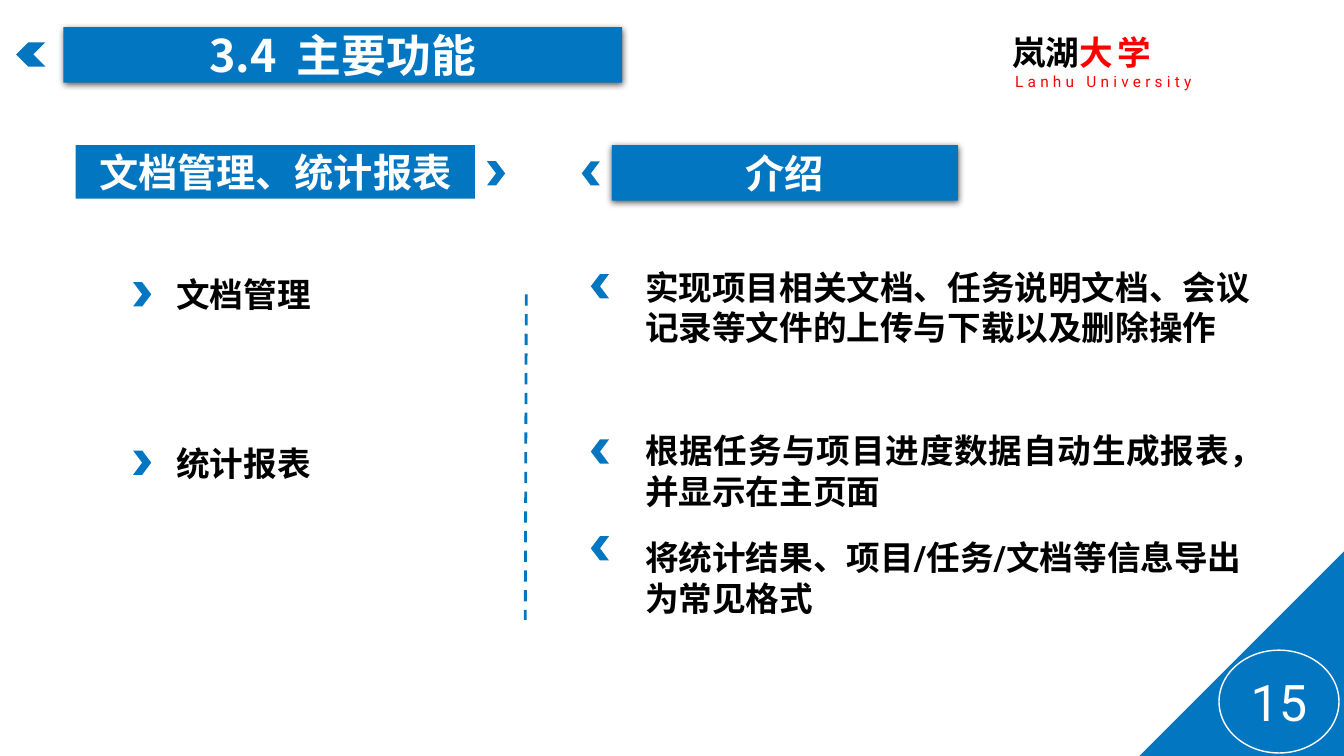
from lxml import etree
from pptx import Presentation
from pptx import util as u
from pptx.dml.color import RGBColor
from pptx.enum import dml, shapes, text
from pptx.oxml.ns import qn

COLORS = {"blue": "0376C2", "white": "FFFFFF", "black": "000000", "red": "FF0000"}
CJK = "Noto Sans CJK SC"
SHAPE = shapes.MSO_SHAPE
ALIGN = text.PP_ALIGN


def rgb(name):
    """Return the named colour."""
    return RGBColor.from_string(COLORS[name])


def add_run(p, words, size=24, font="Roboto", color="black", bold=True, spacing=0):
    """Append a formatted run to a paragraph."""
    r = p.add_run()
    r.text = words
    r.font.size, r.font.name, r.font.bold = u.Pt(size), font, bold
    r.font.color.rgb = rgb(color)
    rPr = r._r.get_or_add_rPr()
    etree.SubElement(rPr, qn("a:ea")).set("typeface", CJK)
    if spacing:
        rPr.set("spc", str(spacing * 100))


class Deck:
    """Hold the presentation, its style and the current slide."""

    def __init__(self):
        """Start a widescreen presentation with one blank slide."""
        self.prs = Presentation()
        self.prs.slide_width, self.prs.slide_height = u.Inches(13.33), u.Inches(7.5)
        self.s = self.prs.slides.add_slide(self.prs.slide_layouts[6])

    def shape(self, kind, x, y, w, h, rotation=0, line=None):
        """Add a blue preset shape."""
        sp = self.s.shapes.add_shape(kind, *map(u.Inches, (x, y, w, h)))
        sp.shadow.inherit = False
        sp.rotation = rotation
        sp.fill.solid()
        sp.fill.fore_color.rgb = rgb("blue")
        if line:
            sp.line.color.rgb = rgb(line)
            sp.line.width = u.Pt(1)
        else:
            sp.line.fill.background()
        return sp

    def label(self, sp, words, **fmt):
        """Write centred white text in a shape."""
        tf = sp.text_frame
        tf.margin_left = tf.margin_right = 0
        tf.vertical_anchor = text.MSO_ANCHOR.MIDDLE
        tf.paragraphs[0].alignment = ALIGN.CENTER
        add_run(tf.paragraphs[0], words, color="white", **fmt)

    def banner(self, words, x, y, w, h, size=28, shadow=True):
        """Add a heading bar."""
        sp = self.shape(SHAPE.RECTANGLE, x, y, w, h)
        self.label(sp, words, size=size, font=CJK)
        if shadow:
            effects = sp._element.spPr.find(qn("a:effectLst"))
            shdw = etree.SubElement(effects, qn("a:outerShdw"), blurRad=str(u.Pt(4.5)),
                                    dist=str(u.Pt(1.5)), dir="5400000", rotWithShape="0")
            clr = etree.SubElement(shdw, qn("a:srgbClr"), val=COLORS["black"])
            etree.SubElement(clr, qn("a:alpha"), val="63000")

    def chevron(self, x, y, w=0.18, left=False):
        """Add a small chevron pointing right or left."""
        self.shape(SHAPE.CHEVRON, x, y, w, 0.24, rotation=180 if left else 0)

    def textbox(self, x, y, w, h):
        """Add a wrapping text box and return its frame."""
        tf = self.s.shapes.add_textbox(*map(u.Inches, (x, y, w, h))).text_frame
        tf.word_wrap = True
        return tf

    def item(self, words, x, y, w, h, align=ALIGN.LEFT):
        """Add one bold entry."""
        p = self.textbox(x, y, w, h).paragraphs[0]
        p.alignment = align
        add_run(p, words)

    def divider(self, x1, y1, x2, y2):
        """Add a dashed blue line."""
        ln = self.s.shapes.add_connector(shapes.MSO_CONNECTOR.STRAIGHT,
                                         *map(u.Inches, (x1, y1, x2, y2)))
        ln.line.color.rgb = rgb("blue")
        ln.line.width = u.Pt(2)
        ln.line.dash_style = dml.MSO_LINE.DASH
        etree.SubElement(ln._element.spPr, qn("a:effectLst"))

    def school(self, x, y, w, h):
        """Add the school name in two languages."""
        tf = self.textbox(x, y, w, h)
        p, sub = tf.paragraphs[0], tf.add_paragraph()
        for para, indent in ((p, 0.12), (sub, 0.15)):
            para._p.get_or_add_pPr().set("marL", str(u.Inches(indent)))
        add_run(p, "岚湖")
        add_run(p, "大学", font="Karla", color="red", spacing=3)
        add_run(sub, "Lanhu University", size=11, color="red", bold=False, spacing=3)


def main():
    """Build the slide and save it."""
    d = Deck()
    d.banner("3.4  主要功能", 0.63, 0.27, 5.54, 0.55, size=32)
    d.chevron(0.16, 0.42, w=0.29, left=True)
    d.banner("文档管理、统计报表", 0.75, 1.44, 3.96, 0.53, shadow=False)
    d.banner("介绍", 6.07, 1.44, 3.43, 0.55)
    d.chevron(4.83, 1.6)
    d.chevron(5.77, 1.6, left=True)
    d.divider(5.22, 2.92, 5.21, 6.15)

    for words, y in (("文档管理", 2.67), ("统计报表", 4.34)):
        d.chevron(1.32, y + 0.13)
        d.item(words, 1.65, y, 1.86, 0.5)

    details = (
        ("实现项目相关文档、任务说明文档、会议记录等文件的上传与下载以及删除操作", 2.6, 2.72, ALIGN.LEFT),
        ("根据任务与项目进度数据自动生成报表，并显示在主页面", 4.22, 4.36, ALIGN.JUSTIFY),
        ("将统计结果、项目/任务/文档等信息导出为常见格式", 5.28, 5.32, ALIGN.LEFT),
    )
    for words, y, mark_y, align in details:
        d.chevron(5.86, mark_y, left=True)
        d.item(words, 6.3, y, 6.33, 0.91, align)

    d.shape(SHAPE.RIGHT_TRIANGLE, 11.3, 5.47, 2.03, 2.03, rotation=270)
    badge = d.shape(SHAPE.OVAL, 12.09, 6.45, 1.19, 1.02, line="white")
    d.label(badge, "15", size=36, bold=False)
    d.school(9.82, 0.27, 3.25, 0.99)
    d.prs.save("out.pptx")


if __name__ == "__main__":
    main()
